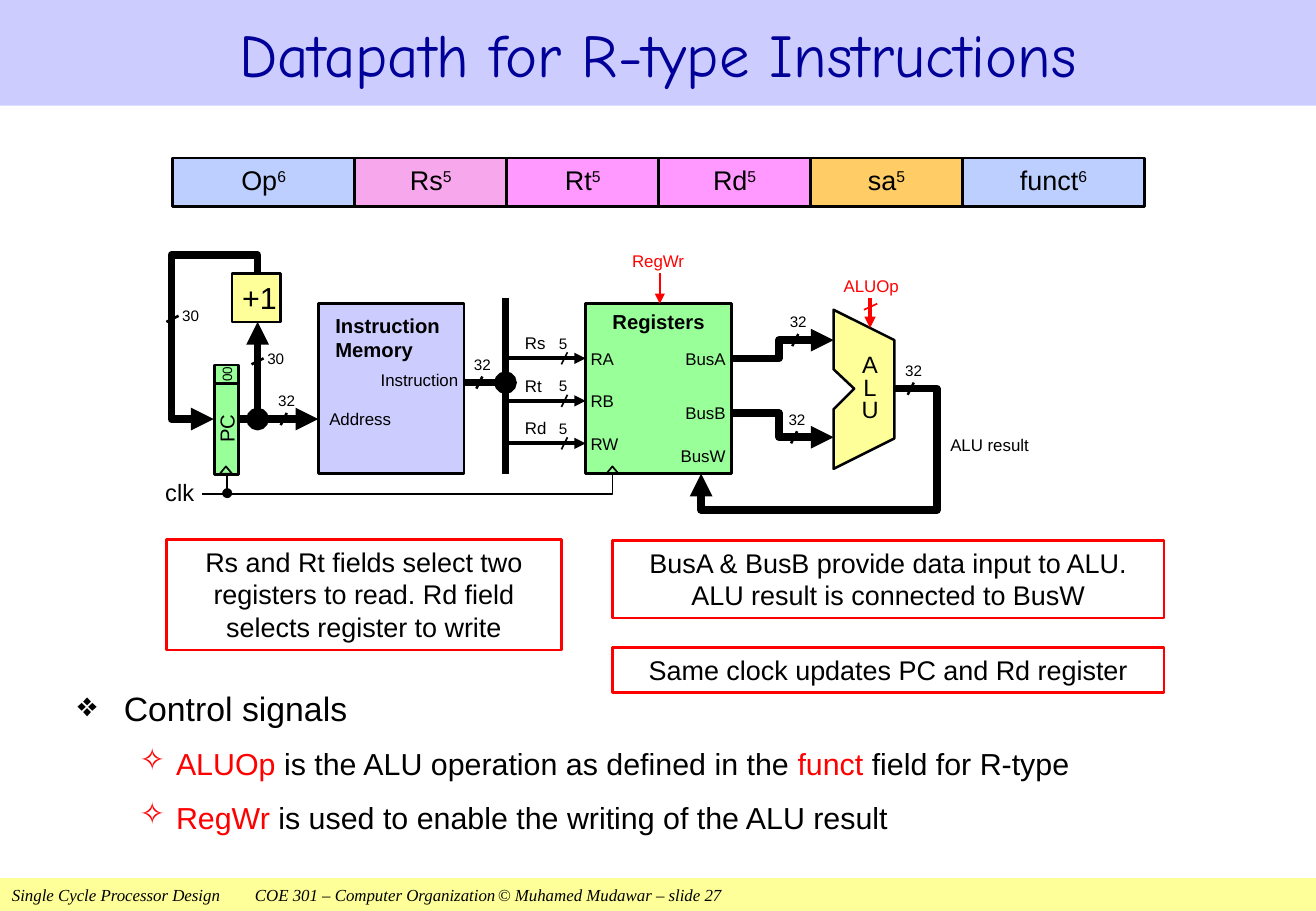
import pptx
import pptx.util
import pptx.dml.color
import pptx.enum.shapes
import pptx.enum.text
import pptx.oxml.ns
import lxml.etree

Inches = pptx.util.Inches
Pt = pptx.util.Pt
RGBColor = pptx.dml.color.RGBColor
Shape = pptx.enum.shapes.MSO_SHAPE
Align = pptx.enum.text.PP_ALIGN
Anchor = pptx.enum.text.MSO_ANCHOR
qn = pptx.oxml.ns.qn

BLACK = RGBColor(0x00, 0x00, 0x00)
RED = RGBColor(0xFF, 0x00, 0x00)
NAVY = RGBColor(0x00, 0x00, 0x99)
LAVENDER = RGBColor(0xCC, 0xCC, 0xFF)
YELLOW = RGBColor(0xFF, 0xFF, 0x99)
GREEN = RGBColor(0x99, 0xFF, 0x99)
BLUE = RGBColor(0xBC, 0xCF, 0xFE)
ROSE = RGBColor(0xF7, 0xA7, 0xEC)
PINK = RGBColor(0xFF, 0x99, 0xFF)
ORANGE = RGBColor(0xFF, 0xCC, 0x66)

deck = pptx.Presentation()
deck.slide_width = Inches(10.83)
deck.slide_height = Inches(7.5)
page = deck.slides.add_slide(deck.slide_layouts[5])


def add_box(text, left, top, width, height, size=10, color=BLACK, font="Arial",
            bold=False, italic=False, superscript="", align=Align.LEFT,
            anchor=Anchor.MIDDLE, insets=(0, 0, 0, 0), spacing=1.0, fill=None,
            line=None, line_width=1.5, shape=Shape.RECTANGLE, rotation=0):
    """Add a text box, or a shape if it has a fill or a line; each text line is a paragraph."""
    place = [Inches(value) for value in (left, top, width, height)]
    if fill is None and line is None:
        box = page.shapes.add_textbox(*place)
    else:
        box = page.shapes.add_shape(shape, *place)
        box.shadow.inherit = False
        for part, part_color in ((box.fill, fill), (box.line.fill, line)):
            if part_color is None:
                part.background()
            else:
                part.solid()
                part.fore_color.rgb = part_color
        if line is not None:
            box.line.width = Pt(line_width)
    box.rotation = rotation
    frame = box.text_frame
    frame.word_wrap = True
    frame.vertical_anchor = anchor
    frame.margin_left, frame.margin_top, frame.margin_right, frame.margin_bottom = map(Inches, insets)
    for index, words in enumerate(text.split("\n") if text else []):
        para = frame.add_paragraph() if index else frame.paragraphs[0]
        para.alignment = align
        para.line_spacing = spacing
        for part in filter(None, (words, superscript)):
            span = para.add_run()
            span.text = part
            span.font.name = font
            span.font.size = Pt(size)
            span.font.bold = bold
            span.font.italic = italic
            span.font.color.rgb = color
        if superscript:
            span._r.get_or_add_rPr().set("baseline", "30000")
    return box


def draw_line(*points, width=4.5, color=BLACK, fill=None, head=None, tail=None):
    """Draw a connector through two points, or an outline through more; a fill closes it."""
    places = [(Inches(x), Inches(y)) for x, y in points]
    if len(places) == 2:
        line = page.shapes.add_connector(
            pptx.enum.shapes.MSO_CONNECTOR.STRAIGHT, *places[0], *places[1])
    else:
        builder = page.shapes.build_freeform(*places[0], scale=1.0)
        builder.add_line_segments(places[1:], close=fill is not None)
        line = builder.convert_to_shape()
        if fill is None:
            line.fill.background()
        else:
            line.fill.solid()
            line.fill.fore_color.rgb = fill
    line.line.color.rgb = color
    line.line.width = Pt(width)
    properties = line.element.spPr
    stroke = properties.find(qn("a:ln"))
    lxml.etree.SubElement(stroke, qn("a:round"))
    for end, kind in (("a:headEnd", head), ("a:tailEnd", tail)):
        if kind:
            lxml.etree.SubElement(stroke, qn(end), type=kind)
    lxml.etree.SubElement(properties, qn("a:effectLst"))


# Title and footer
title = page.shapes.title
title.left, title.top, title.width, title.height = 0, 0, Inches(10.83), Inches(0.87)
title.fill.solid()
title.fill.fore_color.rgb = LAVENDER
title.text_frame.vertical_anchor = Anchor.MIDDLE
title.text_frame.text = "Datapath for R-type Instructions"
heading = title.text_frame.paragraphs[0]
heading.alignment = Align.CENTER
heading.font.name = "Comic Neue"
heading.font.size = Pt(36)
heading.font.color.rgb = NAVY

footer = add_box(
    "Single Cycle Processor Design\tCOE 301 – Computer Organization\t© Muhamed Mudawar – slide 27",
    0, 7.23, 10.83, 0.27, font="Times New Roman", italic=True, fill=YELLOW,
    insets=(0.1, 0.05, 0.1, 0.05))
footer_tabs = lxml.etree.SubElement(footer.text_frame.paragraphs[0]._p.get_or_add_pPr(), qn("a:tabLst"))
for stop in (2, 4):
    lxml.etree.SubElement(footer_tabs, qn("a:tab"), pos=str(Inches(stop)), algn="l")

# Instruction format
field_left = 1.42
for name, bits, width, fill in (
        ("Op", "6", 1.5, BLUE), ("Rs", "5", 1.25, ROSE), ("Rt", "5", 1.25, PINK),
        ("Rd", "5", 1.25, PINK), ("sa", "5", 1.25, ORANGE), ("funct", "6", 1.5, BLUE)):
    add_box(name, field_left, 1.3, width, 0.4, size=16, superscript=bits, align=Align.CENTER,
            spacing=0.85, insets=(0, 0.1, 0, 0.1), fill=fill, line=BLACK)
    field_left += width

# Datapath units
add_box("", 2.62, 2.5, 1.2, 1.4, fill=LAVENDER, line=BLACK)
add_box("Registers", 4.82, 2.5, 1.2, 1.4, size=12, bold=True, align=Align.CENTER,
        anchor=Anchor.TOP, insets=(0.01, 0.05, 0.01, 0.05), fill=GREEN, line=BLACK)
add_box("PC", 1.49, 3.43, 0.75, 0.2, size=12, align=Align.CENTER, fill=GREEN, line=BLACK, rotation=270)
add_box("00", 1.79, 2.98, 0.15, 0.2, size=8, align=Align.CENTER, fill=GREEN, line=BLACK, rotation=270)
add_box("+1", 1.91, 2.25, 0.4, 0.4, size=18, align=Align.CENTER, insets=(0.05, 0, 0, 0),
        fill=YELLOW, line=BLACK)
draw_line((6.86, 3.86), (7.36, 3.61), (7.36, 2.8), (6.86, 2.55), (6.86, 3.04), (7.03, 3.2),
          (6.86, 3.37), width=1.5, fill=YELLOW)
add_box("A\nL\nU", 6.95, 2.8, 0.42, 0.81, size=14, align=Align.CENTER, spacing=0.8)
for clock_left in (1.81, 4.99):
    add_box("", clock_left, 3.84, 0.1, 0.06, shape=Shape.ISOSCELES_TRIANGLE, line=BLACK, line_width=1)

# Buses
draw_line((1.96, 3.45), (2.62, 3.45), tail="triangle")
draw_line((2.12, 3.45), (2.12, 2.65), head="oval", tail="triangle")
draw_line((2.12, 2.25), (2.12, 2.1), (1.41, 2.1), (1.41, 3.45), (1.76, 3.45), tail="triangle")
draw_line((3.82, 3.15), (4.16, 3.15), tail="oval")
draw_line((4.16, 2.45), (4.16, 3.9))
for bus_start, bus_end in ((2.95, 2.8), (3.4, 3.6)):
    draw_line((6.01, bus_start), (6.41, bus_start), (6.41, bus_end), (6.86, bus_end), tail="triangle")
draw_line((7.36, 3.2), (7.71, 3.2), (7.71, 4.2), (5.77, 4.2), (5.77, 3.9), tail="triangle")

# Bus widths
for left, top in ((2.26, 3.2), (3.87, 2.9), (6.47, 2.55), (6.46, 3.35), (7.42, 2.95)):
    add_box("32", left, top, 0.2, 0.2, size=9, insets=(0.03, 0, 0, 0))
    draw_line((left + 0.1, top + 0.2), (left + 0.05, top + 0.3), width=1.5)
for left, top in ((1.47, 2.5), (2.17, 2.85)):
    add_box("30", left, top, 0.2, 0.2, size=9, insets=(0.03, 0, 0, 0))
    draw_line((left, top + 0.1), (left - 0.1, top + 0.15), width=1.5)

# Register fields
for index, (field, port) in enumerate((("Rs", "RA"), ("Rt", "RB"), ("Rd", "RW"))):
    y = 2.95 + 0.35 * index
    draw_line((4.16, y), (4.82, y), width=2.25, tail="triangle")
    draw_line((4.67, y - 0.05), (4.62, y + 0.05), width=1)
    add_box("5", 4.57, y - 0.2, 0.15, 0.15, size=9, insets=(0.03, 0, 0, 0))
    add_box(field, 4.32, y - 0.2, 0.2, 0.15)
    add_box(port, 4.86, y - 0.1, 0.45, 0.2)
for bus, top in (("BusA", 2.85), ("BusB", 3.3), ("BusW", 3.65)):
    add_box(bus, 5.52, top, 0.45, 0.2, align=Align.RIGHT)

# Other labels
add_box("Instruction\nMemory", 2.76, 2.5, 0.95, 0.55, size=12, bold=True)
add_box("Instruction", 2.82, 3, 0.95, 0.25, align=Align.RIGHT)
add_box("Address", 2.71, 3.3, 0.75, 0.3)
add_box("ALU result", 7.82, 3.51, 0.75, 0.3)

# Control signals
draw_line((5.43, 2.25), (5.43, 2.5), width=1, color=RED, tail="triangle")
draw_line((7.16, 2.45), (7.16, 2.7), width=2.25, color=RED, tail="triangle")
draw_line((7.22, 2.5), (7.11, 2.55), width=1, color=RED)
add_box("RegWr", 5.07, 2.05, 0.69, 0.2, color=RED, align=Align.CENTER)
add_box("ALUOp", 6.77, 2.25, 0.8, 0.2, color=RED, align=Align.CENTER)

# Clock
draw_line((5.04, 3.9), (5.04, 4.07), (1.66, 4.07), width=1)
draw_line((1.87, 3.9), (1.87, 4.06), width=1, tail="oval")
add_box("clk", 1.36, 3.95, 0.3, 0.2, size=14)

# Notes in red frames
for note, left, top, width, height in (
        ("Rs and Rt fields select two registers to read. Rd field selects register to write",
         1.37, 4.44, 3.25, 0.91),
        ("BusA & BusB provide data input to ALU. ALU result is connected to BusW", 5.04, 4.45, 4.54, 0.64),
        ("Same clock updates PC and Rd register", 5.04, 5.33, 4.54, 0.37)):
    add_box(note, left, top, width, height, size=16, align=Align.CENTER, anchor=Anchor.TOP,
            insets=(0.1, 0.05, 0.1, 0.05), line=RED)

# Bullet list
bullets = page.shapes.add_textbox(Inches(0.54), Inches(5.58), Inches(9.75), Inches(1.3)).text_frame
bullets.word_wrap = True
for index, (level, spans) in enumerate((
        (0, [("Control signals", BLACK)]),
        (1, [("ALUOp ", RED), ("is the ALU operation as defined in the ", BLACK),
             ("funct", RED), (" field for R-type", BLACK)]),
        (1, [("RegWr", RED), (" is used to enable the writing of the ALU result", BLACK)]))):
    para = bullets.add_paragraph() if index else bullets.paragraphs[0]
    indent, mark, size = ((0.38, "❖", 20), (0.81, "✧", 18))[level]
    para.level = level
    settings = para._p.get_or_add_pPr()
    settings.set("marL", str(Inches(indent)))
    settings.set("indent", str(-Inches((0.38, 0.3)[level])))
    lxml.etree.SubElement(settings, qn("a:buChar"), char=mark)
    para.line_spacing = 1.1
    if index:
        para.space_before = Pt(8)
    for words, color in spans:
        span = para.add_run()
        span.text = words
        span.font.name = "Arial"
        span.font.size = Pt(size)
        span.font.color.rgb = color

deck.save("out.pptx")
